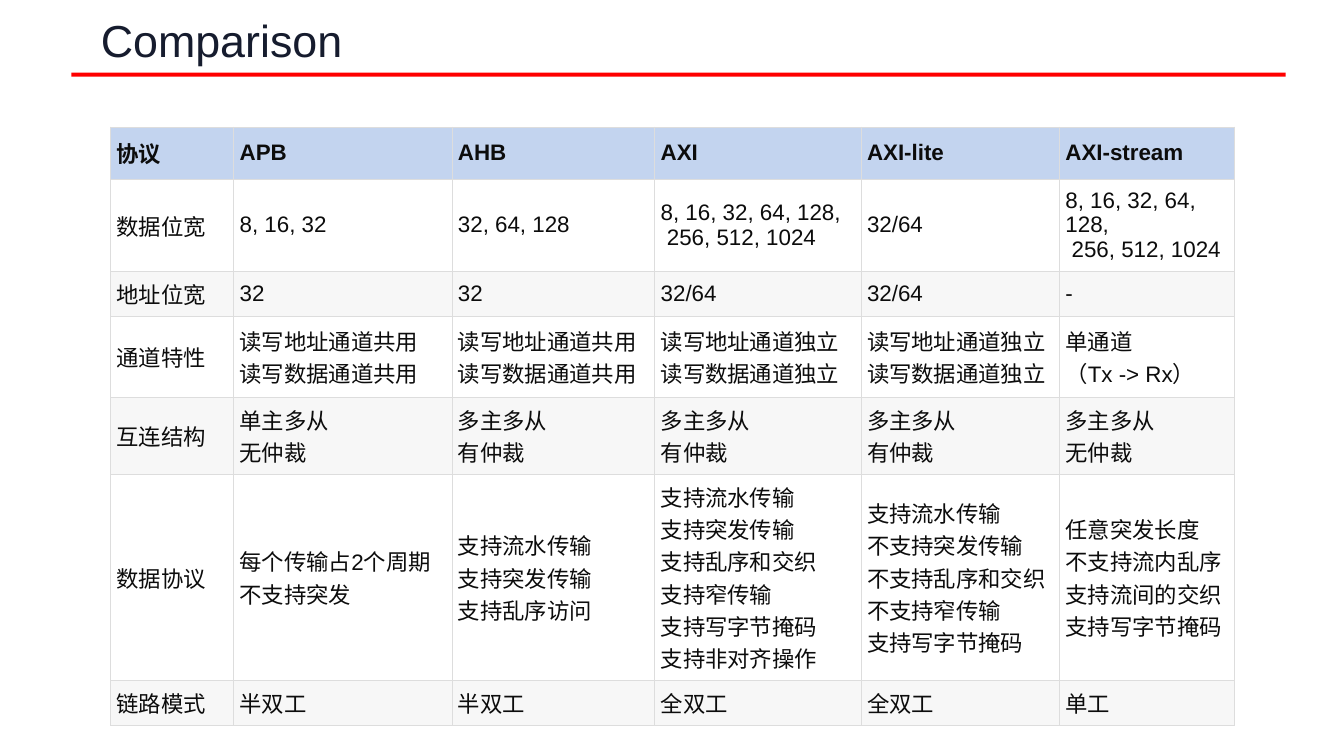
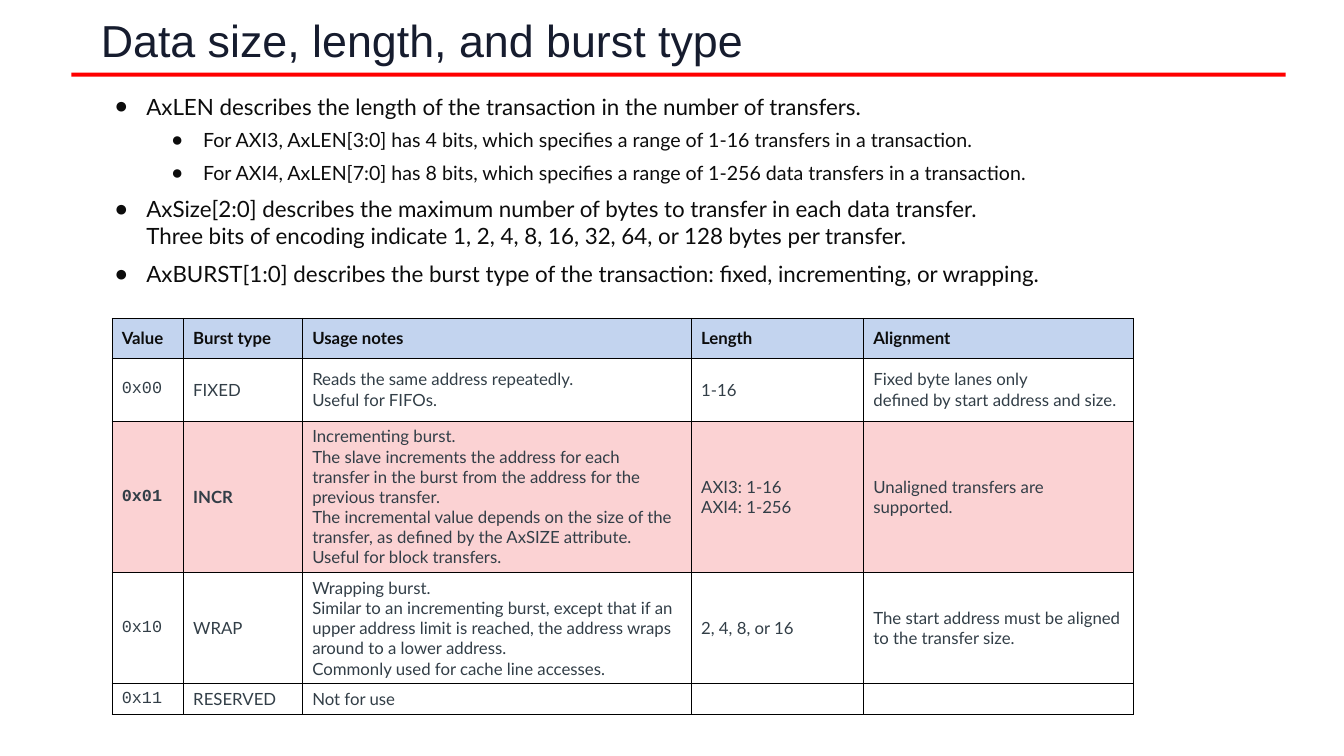
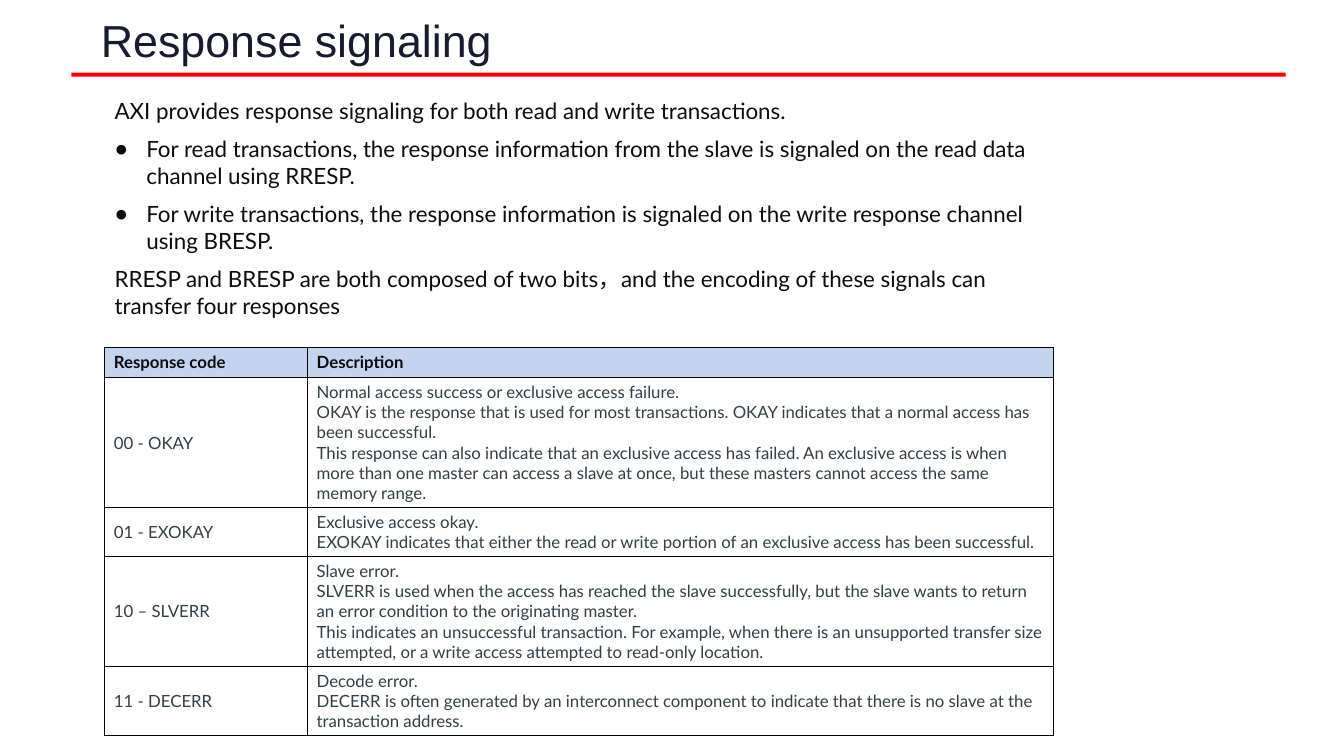
"""Build three slides comparing bus protocols and explaining bursts and responses."""
from copy import deepcopy
from dataclasses import dataclass

from lxml import etree
from pptx import Presentation
from pptx.dml.color import RGBColor
from pptx.enum.shapes import MSO_SHAPE
from pptx.enum.text import MSO_ANCHOR
from pptx.oxml.ns import qn
from pptx.util import Cm, Pt

RECT = MSO_SHAPE.RECTANGLE
MIDDLE = MSO_ANCHOR.MIDDLE


@dataclass(frozen=True)
class Theme:
    title: str = "161C2E"
    rule: str = "FF0000"
    ink: str = "0C0C0C"
    note: str = "323E47"
    header: str = "C3D4EF"
    white: str = "FFFFFF"
    stripe: str = "F7F7F7"
    highlight: str = "FBD2D3"
    grid_light: str = "DDDDDD"
    grid_dark: str = "000000"
    sans: str = "Arial"
    text: str = "Lato"
    mono: str = "Courier New"
    title_size: int = 32
    body_size: int = 16
    sub_size: int = 14
    note_size: int = 12


T = Theme()


def write(tf, text, size=T.body_size, font=T.text, color=T.ink, bold=False,
          first=True, gap=0, spacing=None, bullet_at=None):
    """Write one paragraph; a vertical tab in the text is a line break."""
    p = tf.paragraphs[0] if first else tf.add_paragraph()
    p.space_before = Pt(0 if first else gap)
    p.space_after = Pt(gap)
    if spacing:
        p.line_spacing = spacing
    if bullet_at:
        pPr = p._p.get_or_add_pPr()
        pPr.set("marL", str(Cm(bullet_at)))
        pPr.set("indent", str(-Cm(0.8)))
        clr = etree.SubElement(pPr, qn("a:buClr"))
        etree.SubElement(clr, qn("a:srgbClr"), val=T.ink)
        etree.SubElement(pPr, qn("a:buFont"), typeface=T.sans)
        etree.SubElement(pPr, qn("a:buChar"), char="●")
    if not text:
        etree.SubElement(p._p, qn("a:endParaRPr"), sz=str(size * 100))
        return
    for i, line in enumerate(text.split("\v")):
        if i:
            p.add_line_break()
            p._p[-1].append(deepcopy(p.runs[-1]._r.rPr))
        r = p.add_run()
        r.text = line
        r.font.size = Pt(size)
        r.font.name = font
        r.font.bold = bold
        r.font.color.rgb = RGBColor.from_string(color)


def add_grid(s, left, top, widths, heights, rows, fills, inset, border, line_width,
             size=T.note_size, font=T.text, color=T.note, key_font=T.text, bold_cells=()):
    """Add a table with a shaded header row and thin borders."""
    table = s.shapes.add_table(len(rows), len(widths), Cm(left), Cm(top),
                               Cm(sum(widths)), Cm(sum(heights))).table
    for column, width in zip(table.columns, widths):
        column.width = Cm(width)
    for i, (values, height, fill) in enumerate(zip(rows, heights, fills)):
        table.rows[i].height = Cm(height)
        for j, value in enumerate(values):
            cell = table.cell(i, j)
            cell.vertical_anchor = MIDDLE
            cell.margin_left = cell.margin_right = Cm(inset[0])
            cell.margin_top = cell.margin_bottom = Cm(inset[1])
            tcPr = cell._tc.get_or_add_tcPr()
            for side in ("a:lnL", "a:lnR", "a:lnT", "a:lnB"):
                ln = etree.SubElement(tcPr, qn(side), w=str(Pt(line_width)))
                solid = etree.SubElement(ln, qn("a:solidFill"))
                etree.SubElement(solid, qn("a:srgbClr"), val=border)
            if fill:
                cell.fill.solid()
                cell.fill.fore_color.rgb = RGBColor.from_string(fill)
            else:
                cell.fill.background()
            for k, line in enumerate(value.split("\n")):
                write(cell.text_frame, line, size=size, first=k == 0,
                      font=key_font if i and j == 0 else font,
                      color=color if i else T.ink,
                      bold=i == 0 or (i, j) in bold_cells)


prs = Presentation()
prs.slide_width = Cm(33.87)
prs.slide_height = Cm(19.05)

slides = []
for title in ("Comparison", "Data size, length, and burst type", "Response signaling"):
    s = prs.slides.add_slide(prs.slide_layouts[6])
    rule = s.shapes.add_shape(RECT, Cm(1.8), Cm(1.83), Cm(30.6), Cm(0.1))
    rule.shadow.inherit = False
    rule.fill.solid()
    rule.fill.fore_color.rgb = RGBColor.from_string(T.rule)
    rule.line.fill.background()
    tf = s.shapes.add_textbox(Cm(2.29), Cm(0.38), Cm(29.29), Cm(1.4)).text_frame
    tf.word_wrap = True
    tf.vertical_anchor = MIDDLE
    write(tf, title, size=T.title_size, font=T.sans, color=T.title, spacing=0.9)
    slides.append(s)
comparison, bursts, responses = slides

protocols = [
    ("协议", "APB", "AHB", "AXI", "AXI-lite", "AXI-stream"),
    ("数据位宽", "8, 16, 32", "32, 64, 128", "8, 16, 32, 64, 128,\n 256, 512, 1024", "32/64",
     "8, 16, 32, 64, 128,\n 256, 512, 1024"),
    ("地址位宽", "32", "32", "32/64", "32/64", "-"),
    ("通道特性", "读写地址通道共用\n读写数据通道共用", "读写地址通道共用\n读写数据通道共用",
     "读写地址通道独立\v读写数据通道独立", "读写地址通道独立\v读写数据通道独立",
     "单通道\n（Tx -> Rx）"),
    ("互连结构", "单主多从\v无仲裁", "多主多从\v有仲裁", "多主多从\v有仲裁",
     "多主多从\v有仲裁", "多主多从\n无仲裁"),
    ("数据协议", "每个传输占2个周期\v不支持突发", "支持流水传输\v支持突发传输\v支持乱序访问",
     "支持流水传输\v支持突发传输\v支持乱序和交织\n支持窄传输\n支持写字节掩码\v支持非对齐操作",
     "支持流水传输\n不支持突发传输\n不支持乱序和交织\n不支持窄传输\n支持写字节掩码",
     "任意突发长度\n不支持流内乱序\n支持流间的交织\n支持写字节掩码"),
    ("链路模式", "半双工", "半双工", "全双工", "全双工", "单工"),
]
add_grid(comparison, 2.79, 3.2, (3.1, 5.5, 5.11, 5.2, 5, 4.4),
         (1.31, 2.19, 1.13, 2.04, 1.94, 5.19, 1.13), protocols,
         [T.header] + [T.white, T.stripe] * 3, (0.15, 0.15), T.grid_light, 0.75,
         size=T.body_size, font=T.sans, color=T.ink, key_font=T.sans)

burst_types = [
    ("Value", "Burst type", "Usage notes", "Length", "Alignment"),
    ("0x00", "FIXED", "Reads the same address repeatedly.\vUseful for FIFOs.", "1-16",
     "Fixed byte lanes only\vdefined by start address and size."),
    ("0x01", "INCR",
     "Incrementing burst.\vThe slave increments the address for each transfer in the burst "
     "from the address for the previous transfer.\vThe incremental value depends on the size "
     "of the transfer, as defined by the AxSIZE attribute.\vUseful for block transfers.",
     "AXI3: 1-16\vAXI4: 1-256", "Unaligned transfers are supported."),
    ("0x10", "WRAP",
     "Wrapping burst.\vSimilar to an incrementing burst, except that if an upper address limit "
     "is reached, the address wraps around to a lower address.\n"
     "Commonly used for cache line accesses.",
     "2, 4, 8, or 16", "The start address must be aligned to the transfer size."),
    ("0x11", "RESERVED", "Not for use", "", ""),
]
add_grid(bursts, 2.82, 8.02, (1.8, 3, 9.8, 4.34, 6.8), (1, 1.59, 3.8, 2.8, 0.76),
         burst_types, (T.header, None, T.highlight, None, None), (0.25, 0.13),
         T.grid_dark, 0.5, key_font=T.mono, bold_cells=((2, 0), (2, 1)))

point = dict(bullet_at=0.8)
subpoint = dict(bullet_at=2.23, size=T.sub_size, spacing=0.9)
burst_points = [
    ("AxLEN describes the length of the transaction in the number of transfers.", point),
    ("For AXI3, AxLEN[3:0] has 4 bits, which specifies a range of 1-16 transfers "
     "in a transaction.", subpoint),
    ("For AXI4, AxLEN[7:0] has 8 bits, which specifies a range of 1-256 data transfers "
     "in a transaction.", subpoint),
    ("AxSize[2:0] describes the maximum number of bytes to transfer in each data transfer. \v"
     "Three bits of encoding indicate 1, 2, 4, 8, 16, 32, 64, or 128 bytes per transfer.", point),
    ("AxBURST[1:0] describes the burst type of the transaction: fixed, incrementing, "
     "or wrapping.", point),
]
response_points = [
    ("AXI provides response signaling for both read and write transactions.", {}),
    ("For read transactions, the response information from the slave is signaled on the "
     "read data channel using RRESP.", point),
    ("For write transactions, the response information is signaled on the write response "
     "channel using BRESP.", point),
    ("RRESP and BRESP are both composed of two bits，and the encoding of these signals can "
     "transfer four responses", {}),
]
for s, top, width, height, points in ((bursts, 2.21, 24.08, 5.1, burst_points),
                                      (responses, 2.33, 24.33, 5.9, response_points)):
    tf = s.shapes.add_textbox(Cm(2.64), Cm(top), Cm(width), Cm(height)).text_frame
    tf.word_wrap = True
    for i, (text, style) in enumerate(points):
        write(tf, text, first=i == 0, gap=4, **style)

response_codes = [
    ("Response code", "Description"),
    ("00 - OKAY",
     "Normal access success or exclusive access failure.\vOKAY is the response that is used for "
     "most transactions. OKAY indicates that a normal access has been successful.\v"
     "This response can also indicate that an exclusive access has failed. An exclusive access "
     "is when more than one master can access a slave at once, but these masters cannot access "
     "the same memory range."),
    ("01 - EXOKAY",
     "Exclusive access okay.\vEXOKAY indicates that either the read or write portion of an "
     "exclusive access has been successful."),
    ("10 – SLVERR",
     "Slave error.\vSLVERR is used when the access has reached the slave successfully, but the "
     "slave wants to return an error condition to the originating master.\v"
     "This indicates an unsuccessful transaction. For example, when there is an unsupported "
     "transfer size attempted, or a write access attempted to read-only location."),
    ("11 - DECERR",
     "Decode error.\vDECERR is often generated by an interconnect component to indicate that "
     "there is no slave at the transaction address."),
]
add_grid(responses, 2.64, 8.75, (5.11, 18.8), (0.76, 3.28, 1.23, 2.77, 1.74),
         response_codes, [T.header] + [None] * 4, (0.23, 0.1), T.grid_dark, 0.5)

prs.save("out.pptx")
